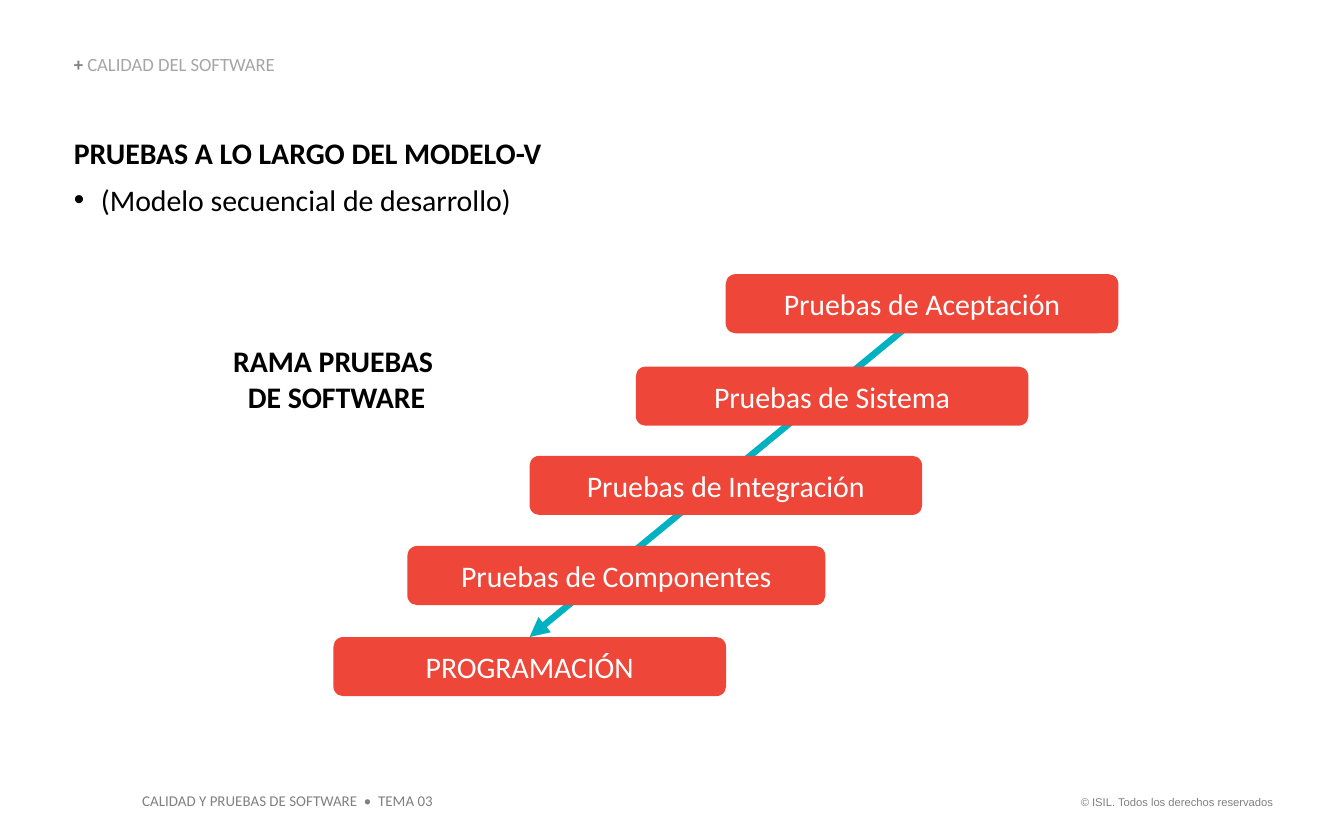
from lxml import etree
from pptx import Presentation
from pptx.dml.color import RGBColor
from pptx.enum import shapes, text
from pptx.oxml import ns
from pptx.util import Pt

RED = RGBColor(0xEE, 0x46, 0x39)
TEAL = RGBColor(0x00, 0xB1, 0xC2)
BLACK = RGBColor(0, 0, 0)
WHITE = RGBColor(0xFF, 0xFF, 0xFF)
GRAY = RGBColor(0x80, 0x80, 0x80)
LIGHT_GRAY = RGBColor(0xA6, 0xA6, 0xA6)
LEFT, CENTER, RIGHT = text.PP_ALIGN.LEFT, text.PP_ALIGN.CENTER, text.PP_ALIGN.RIGHT

# Content: a run is (text, size, colour, bold)
COPYRIGHT = [[("© ISIL. Todos los derechos reservados", 6, GRAY, False)]]
COURSE = [[("CALIDAD Y PRUEBAS DE SOFTWARE  •  TEMA 03", 8, GRAY, False)]]
SECTION = [[("+ ", 10, GRAY, True), ("CALIDAD DEL SOFTWARE", 10, LIGHT_GRAY, False)]]
HEADING = [[("PRUEBAS A LO LARGO DEL MODELO-V", 16, BLACK, True)],
           [("(Modelo secuencial de desarrollo)", 16, BLACK, False)]]
BRANCH = [[("RAMA PRUEBAS", 16, BLACK, True)], [(" DE SOFTWARE", 16, BLACK, True)]]

# Test levels: label, left, top, width
LEVELS = [
    ("Pruebas de Aceptación", 388.8, 146.9, 210.4),
    ("Pruebas de Sistema", 340.6, 196.4, 210.4),
    ("Pruebas de Integración", 283.7, 244.2, 210.4),
    ("Pruebas de Componentes", 218.2, 292.5, 224),
    ("PROGRAMACIÓN", 178.6, 341.3, 210.4),
]
LEVEL_HEIGHT = 31.7
ARROW = (497.5, 165.6, 283.7, 341.3)


def write(frame, paragraphs, align=LEFT, font="Calibri"):
    for i, runs in enumerate(paragraphs):
        paragraph = frame.paragraphs[0] if i == 0 else frame.add_paragraph()
        paragraph.alignment = align
        for words, size, color, bold in runs:
            run = paragraph.add_run()
            run.text = words
            run.font.size, run.font.bold, run.font.name = Pt(size), bold, font
            run.font.color.rgb = color


def add_text(slide, box, paragraphs, inset=(0, 0), wrap=True, **style):
    frame = slide.shapes.add_textbox(*map(Pt, box)).text_frame
    frame.margin_left = frame.margin_right = Pt(inset[0])
    frame.margin_top = frame.margin_bottom = Pt(inset[1])
    frame.word_wrap = wrap
    write(frame, paragraphs, **style)
    return frame


def add_bullet(paragraph, indent):
    properties = paragraph._p.get_or_add_pPr()
    properties.set("marL", str(Pt(indent)))
    properties.set("indent", str(-Pt(indent)))
    font = etree.SubElement(properties, ns.qn("a:buFont"))
    font.set("typeface", "Arial")
    etree.SubElement(properties, ns.qn("a:buChar")).set("char", "•")


def add_arrow(slide, ends):
    arrow = slide.shapes.add_connector(shapes.MSO_CONNECTOR.STRAIGHT, *map(Pt, ends))
    arrow.line.color.rgb = TEAL
    arrow.line.width = Pt(3.5)
    head = etree.SubElement(arrow.line._get_or_add_ln(), ns.qn("a:tailEnd"))
    head.set("type", "triangle")
    etree.SubElement(arrow._element.spPr, ns.qn("a:effectLst"))


def add_level(slide, label, left, top, width):
    level = slide.shapes.add_shape(shapes.MSO_SHAPE.ROUNDED_RECTANGLE,
                                   Pt(left), Pt(top), Pt(width), Pt(LEVEL_HEIGHT))
    level.shadow.inherit = False
    level.fill.solid()
    level.fill.fore_color.rgb = RED
    level.line.fill.background()
    level.text_frame.vertical_anchor = text.MSO_ANCHOR.MIDDLE
    write(level.text_frame, [[(label, 16, WHITE, False)]], CENTER)


def main():
    deck = Presentation()
    deck.slide_width, deck.slide_height = Pt(720), Pt(450)
    slide = deck.slides.add_slide(deck.slide_layouts[6])

    # Footer
    add_text(slide, (567.4, 422.6, 121.7, 14.4), COPYRIGHT, (7.2, 3.6), False,
             align=RIGHT, font="Arial")
    add_text(slide, (69.1, 420.5, 170.6, 17), COURSE, (7.2, 3.6), False)

    # Test branch: the arrow runs behind the levels
    add_arrow(slide, ARROW)
    add_text(slide, (87.1, 183.6, 182.9, 38.9), BRANCH, align=CENTER)
    for level in LEVELS:
        add_level(slide, *level)

    # Section label and heading
    section = add_text(slide, (39.6, 29.5, 260, 10.8), SECTION)
    section.vertical_anchor = text.MSO_ANCHOR.BOTTOM
    section.paragraphs[0].line_spacing = 0.9
    title, subtitle = add_text(slide, (39.6, 72, 270, 44.6), HEADING).paragraphs
    title.space_after = Pt(6)
    add_bullet(subtitle, 14.4)

    deck.save("out.pptx")


if __name__ == "__main__":
    main()
